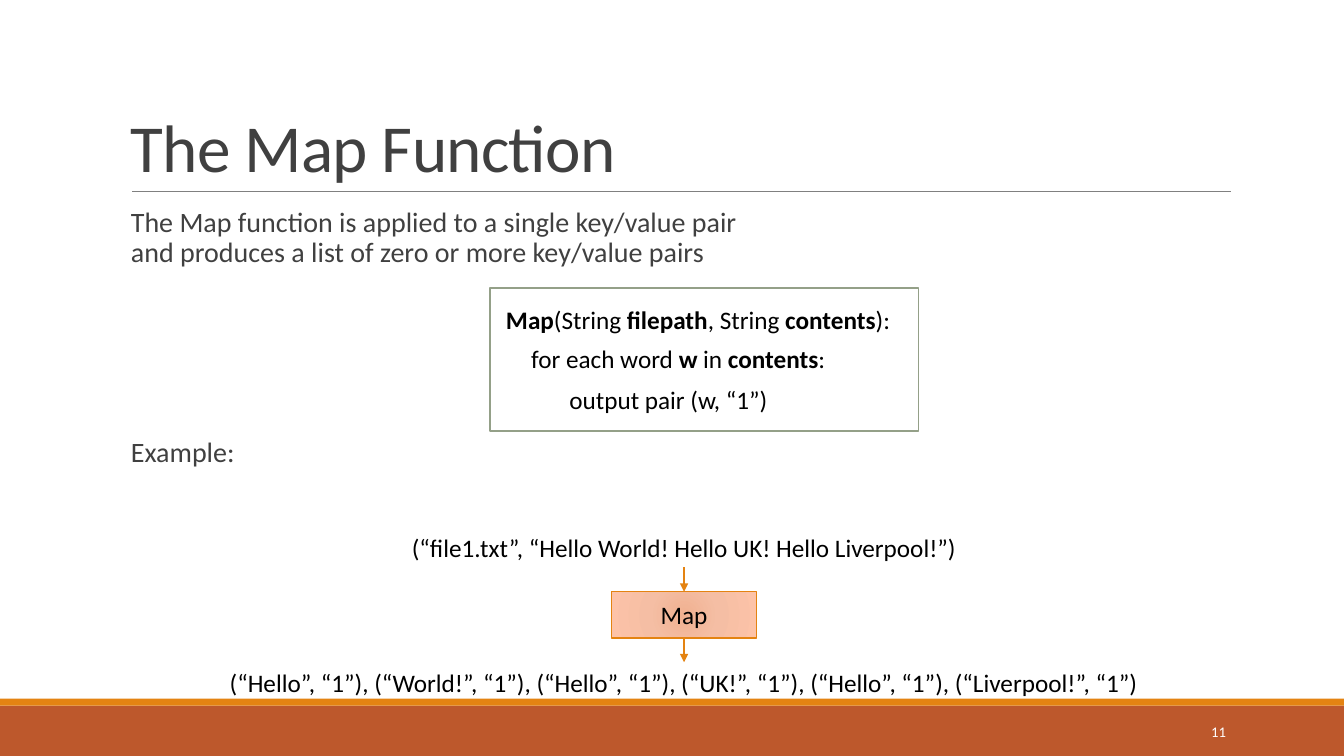
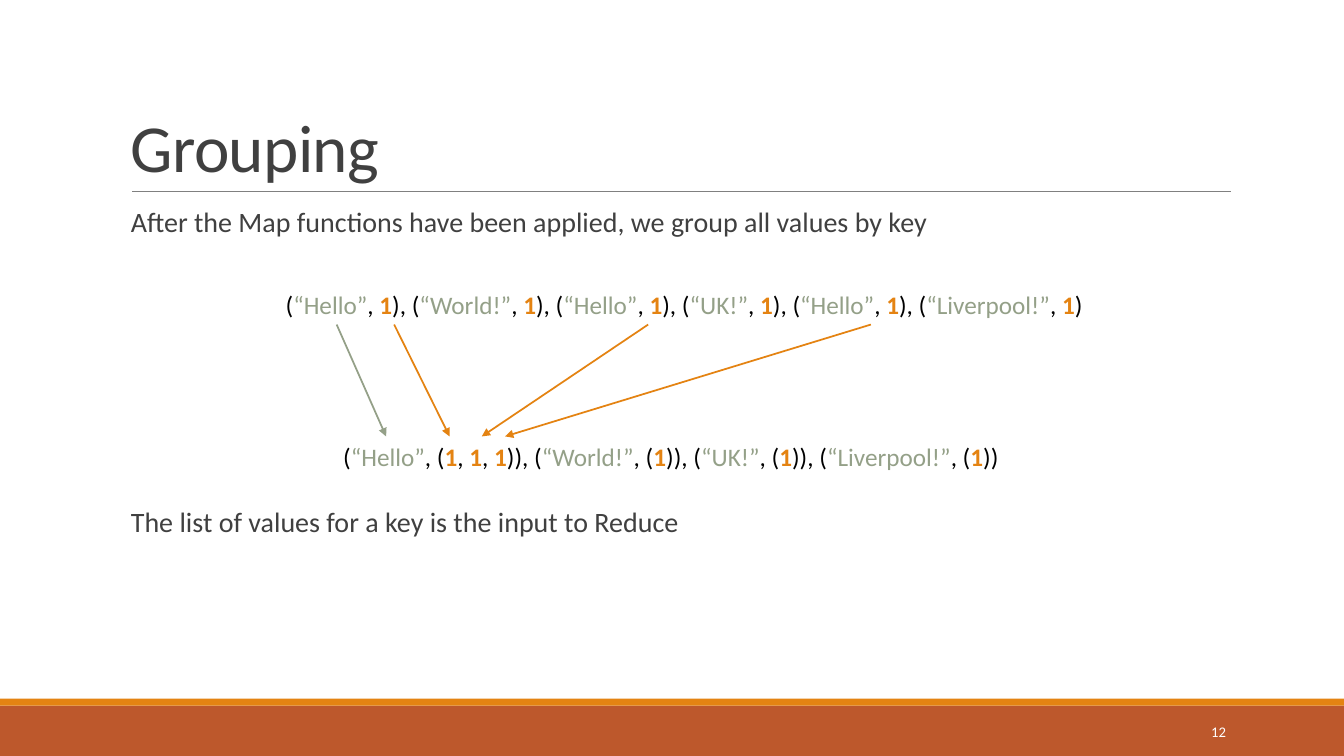
from lxml import etree
from pptx import Presentation
from pptx.dml.color import RGBColor
from pptx.enum.shapes import MSO_CONNECTOR, MSO_SHAPE
from pptx.enum.text import MSO_ANCHOR, PP_ALIGN
from pptx.oxml import parse_xml
from pptx.oxml.ns import nsdecls, qn
from pptx.util import Inches, Pt

RECTANGLE, STRAIGHT = MSO_SHAPE.RECTANGLE, MSO_CONNECTOR.STRAIGHT
TOP, MIDDLE, BOTTOM = MSO_ANCHOR.TOP, MSO_ANCHOR.MIDDLE, MSO_ANCHOR.BOTTOM
LEFT, CENTER, RIGHT = PP_ALIGN.LEFT, PP_ALIGN.CENTER, PP_ALIGN.RIGHT

COLORS = {
    "band": "BD582C", "accent": "E48312", "sage": "94A088", "rule": "808080",
    "heading": "404040", "black": "000000", "white": "FFFFFF",
}
RGB = {name: RGBColor.from_string(value) for name, value in COLORS.items()}

# Each style: settings for the text frame, the paragraphs and the font.
STYLES = {
    "title": (
        {"vertical_anchor": BOTTOM},
        {"alignment": LEFT, "line_spacing": 0.85},
        {"size": Pt(48), "color": "heading"},
    ),
    "body": (
        {"vertical_anchor": TOP},
        {"alignment": LEFT, "line_spacing": 0.9},
        {"size": Pt(20), "color": "heading"},
    ),
    "page": (
        {"vertical_anchor": MIDDLE},
        {"alignment": RIGHT},
        {"size": Pt(10.5), "color": "white"},
    ),
    "code": (
        {"vertical_anchor": TOP, "margin_left": Inches(0.16), "margin_top": Inches(0.16),
         "margin_right": Inches(0.16), "margin_bottom": Inches(0.16)},
        {"alignment": LEFT},
        {"size": Pt(18), "color": "black"},
    ),
    "pairs": (
        {"vertical_anchor": MIDDLE},
        {"alignment": CENTER},
        {"size": Pt(18), "color": "black"},
    ),
}
# Looks of single runs, on top of the style of their box.
LOOKS = {"bold": (None, True), "key": ("sage", False), "value": ("accent", True)}

deck = Presentation()
deck.slide_width, deck.slide_height = Inches(13.333), Inches(7.5)
COL, ROW = deck.slide_width / 100, deck.slide_height / 100  # a grid of 100 by 100 cells


def add_box(slide, cells, style="pairs", lines=(), fill=None, outline=None, weight=1):
    """Add a rectangle, or a text box if unfilled; each line is a list of (text, look)."""
    left, top, width, height = cells
    frame_cells = [int(n) for n in (left * COL, top * ROW, width * COL, height * ROW)]
    if fill:
        box = slide.shapes.add_shape(RECTANGLE, *frame_cells)
        box.shadow.inherit = False
        box.fill.solid()
        box.fill.fore_color.rgb = RGB[fill]
        if outline:
            box.line.color.rgb, box.line.width = RGB[outline], Pt(weight)
        else:
            box.line.fill.background()
    else:
        box = slide.shapes.add_textbox(*frame_cells)

    frame_format, paragraph_format, font_format = STYLES[style]
    frame = box.text_frame
    frame.word_wrap = True
    for name, value in frame_format.items():
        setattr(frame, name, value)
    for number, line in enumerate(lines):
        paragraph = frame.add_paragraph() if number else frame.paragraphs[0]
        for name, value in paragraph_format.items():
            setattr(paragraph, name, value)
        for text, look in line:
            if text == "\n":
                paragraph.add_line_break()
                continue
            color, bold = LOOKS.get(look, (None, False))
            run = paragraph.add_run()
            run.text = text
            run.font.name, run.font.size, run.font.bold = "Calibri", font_format["size"], bold
            run.font.color.rgb = RGB[color or font_format["color"]]
            if style == "title":
                run.font._element.set("spc", "-50")
    return box


def add_line(slide, start, end, color, weight=1.25, arrow=True):
    x1, y1, x2, y2 = start[0] * COL, start[1] * ROW, end[0] * COL, end[1] * ROW
    line = slide.shapes.add_connector(STRAIGHT, int(x1), int(y1), int(x2), int(y2))
    line.line.color.rgb, line.line.width = RGB[color], Pt(weight)
    if arrow:
        etree.SubElement(line.line._get_or_add_ln(), qn("a:tailEnd"), type="triangle")
    etree.SubElement(line._element.spPr, qn("a:effectLst"))


# Shared parts: bands, title, rule, body paragraphs and page number
BODY_TOP = 26.93
outlines = [
    (11, "The Map Function", [
        (BODY_TOP, ["The Map function is applied to a single key/value pair", "\n",
                    "and produces a list of zero or more key/value pairs"]),
        (57.33, ["Example:"]),
    ]),
    (12, "Grouping", [
        (BODY_TOP, ["After the Map functions have been applied, we group all values by key"]),
        (66.53, ["The list of values for a key is the input to Reduce"]),
    ]),
]
slides = []
for page, title, statements in outlines:
    slide = deck.slides.add_slide(deck.slide_layouts[6])
    add_box(slide, (0, 93.33, 100, 6.67), fill="band")
    add_box(slide, (0, 92.4, 100, 0.93), fill="accent")
    add_line(slide, (9.83, 25.33), (91.58, 25.33), "rule", 0.5, arrow=False)
    add_box(slide, (9, 4.13, 82.5, 21.2), "title", [[(title, None)]])
    for top, texts in statements:
        add_box(slide, (9, top, 82.5, 10), "body", [[(text, None) for text in texts]])
    add_box(slide, (81.2, 94.13, 10.75, 5.33), "page", [[(str(page), None)]])
    slides.append(slide)
map_slide, grouping_slide = slides

# Rows of key/value pairs are centred on a shared axis
AXIS, ROW_WIDTH, ROW_HEIGHT = 50.9, 75, 5.33
words = ["Hello", "World!", "Hello", "UK!", "Hello", "Liverpool!"]

# The Map Function: pseudocode
pseudocode = [
    [("Map", "bold"), ("(String ", None), ("filepath", "bold"), (", String ", None),
     ("contents", "bold"), ("):", None)],
    [("for each word ", None), ("w", "bold"), (" in ", None), ("contents", "bold"), (":", None)],
    [("output pair (w, “1”)", None)],
]
code_box = add_box(map_slide, (36.45, 38.13, 31.9, 18.93), "code", pseudocode,
                   "white", "sage", 1.25)
code_steps = code_box.text_frame.paragraphs[1:]
for step, indent, gap in zip(code_steps, (0.25, 0.63), (6, 8)):
    step._p.get_or_add_pPr().set("marL", str(Inches(indent)))
    step.space_before = Pt(gap)

# The Map Function: input, function and output
map_box = add_box(map_slide, (AXIS - 5.4, 78.27, 10.8, 6.13), "pairs", [[("Map", None)]],
                  "white", "accent")
stops = "".join(
    f'<a:gs pos="{share * 1000}"><a:srgbClr val="{color}"/></a:gs>'
    for share, color in ((0, "F0B191"), (45, "F5BEA4"), (100, "FDC3A8")))
gradient = parse_xml(
    f'<a:gradFill {nsdecls("a")}><a:gsLst>{stops}</a:gsLst><a:path path="circle">'
    '<a:fillToRect l="100000" t="100000" r="100000" b="100000"/></a:path></a:gradFill>')
map_properties = map_box._element.spPr
map_properties.replace(map_properties.find(qn("a:solidFill")), gradient)

map_input = "(“file1.txt”, “Hello World! Hello UK! Hello Liverpool!”)"
map_output = ", ".join(f"(“{word}”, “1”)" for word in words)
for top, text in ((69.73, map_input), (87.6, map_output)):
    add_box(map_slide, (AXIS - ROW_WIDTH / 2, top, ROW_WIDTH, ROW_HEIGHT), "pairs",
            [[(text, None)]])
for start, end in ((75.07, 78.27), (84.4, 87.6)):
    add_line(map_slide, (AXIS, start), (AXIS, end), "accent")

# Grouping: single pairs above, values gathered by key below
mapped = []
for word in words:
    mapped += [("), (" if mapped else "(", None), (f"“{word}”", "key"), (", ", None),
               ("1", "value")]
mapped.append((")", None))

grouped = []
for word in dict.fromkeys(words):
    grouped += [(")), (" if grouped else "(", None), (f"“{word}”", "key"), (", (", None)]
    for number in range(words.count(word)):
        if number:
            grouped.append((", ", None))
        grouped.append(("1", "value"))
grouped.append(("))", None))

for center, top, pairs in ((AXIS, 37.6, mapped), (49.91, 57.73, grouped)):
    add_box(grouping_slide, (center - ROW_WIDTH / 2, top, ROW_WIDTH, ROW_HEIGHT), "pairs",
            [pairs])

links = [(29.33, 33.45, "accent"), (25.05, 28.73, "sage"),
         (48.23, 35.85, "accent"), (64.8, 37.58, "accent")]
for start, end, color in links:
    add_line(grouping_slide, (start, 42.93), (end, 57.73), color)

deck.save("out.pptx")
